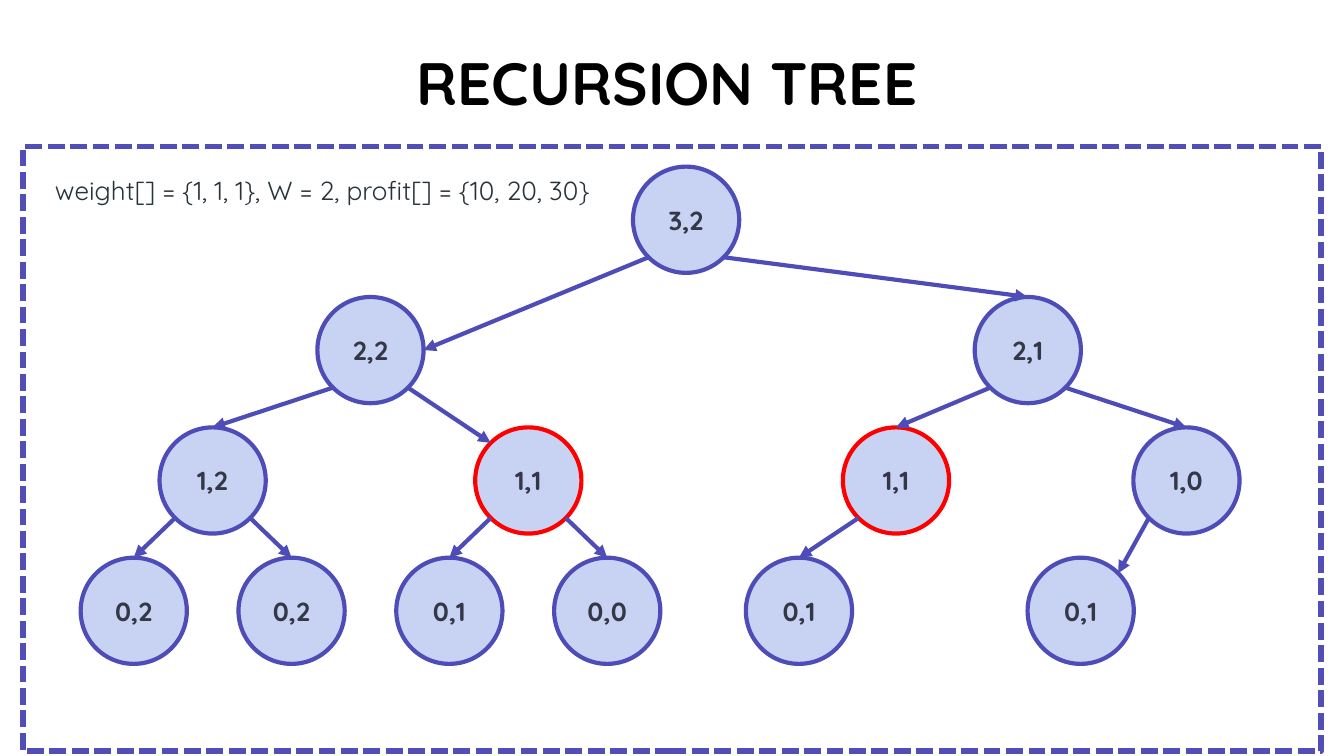
from collections import namedtuple
from math import sqrt

from lxml import etree
from pptx import Presentation
from pptx.dml.color import RGBColor
from pptx.enum.dml import MSO_LINE
from pptx.enum.shapes import MSO_CONNECTOR, MSO_SHAPE
from pptx.enum.text import MSO_ANCHOR, PP_ALIGN
from pptx.oxml.ns import qn
from pptx.util import Inches, Pt

STRAIGHT = MSO_CONNECTOR.STRAIGHT
OVAL, RECTANGLE = MSO_SHAPE.OVAL, MSO_SHAPE.RECTANGLE
DASHED = MSO_LINE.SQUARE_DOT
TOP, MIDDLE = MSO_ANCHOR.TOP, MSO_ANCHOR.MIDDLE
LEFT, CENTER = PP_ALIGN.LEFT, PP_ALIGN.CENTER

COLORS = {
    "title": "000000", "input": "273239", "state": "333746",
    "frame": "514EB7", "edge": "4E4CB6", "node": "C8D3F4", "repeated": "FF0000",
}
FONT = "Quicksand"
SLIDE_WIDTH = 10
SLIDE_HEIGHT = SLIDE_WIDTH * 9 / 16

# The tree sits on a grid inside its frame; lengths are in inches.
DIAMETER = 0.79
COLUMN, ROW = 4.11 / 7, 0.97
MARGIN_X, MARGIN_Y = 0.43, 0.15

Box = namedtuple("Box", "left top width height")
State = namedtuple("State", "label column children entry repeated",
                   defaults=((), "top", False))

# Points on a circle, as shares of its radius from the centre
DIAGONAL = sqrt(0.5)
SITES = {
    "top": (0, -1), "right": (1, 0),
    "top left": (-DIAGONAL, -DIAGONAL), "top right": (DIAGONAL, -DIAGONAL),
    "bottom left": (-DIAGONAL, DIAGONAL), "bottom right": (DIAGONAL, DIAGONAL),
}

RECURSION = State("3,2", 7, (
    State("2,2", 3, (
        State("1,2", 1, (State("0,2", 0), State("0,2", 2))),
        State("1,1", 5, (State("0,1", 4), State("0,0", 6)), "top left", True),
    ), "right"),
    State("2,1", 11.33, (
        State("1,1", 9.66, (State("0,1", 8.43),), repeated=True),
        State("1,0", 13.34, (State("0,1", 12, entry="top right"),)),
    )),
))


def color(name):
    return RGBColor.from_string(COLORS[name])


def in_inches(*lengths):
    return [Inches(length) for length in lengths]


def write(frame, text, size, color_name, bold=False, align=LEFT, anchor=TOP):
    frame.word_wrap = True
    frame.vertical_anchor = anchor
    paragraph = frame.paragraphs[0]
    paragraph.alignment = align
    run = paragraph.add_run()
    run.text = text
    run.font.name, run.font.size, run.font.bold = FONT, Pt(size), bold
    run.font.color.rgb = color(color_name)


def add_title(slide, box):
    title = slide.shapes.title
    title.left, title.top, title.width, title.height = in_inches(*box)
    write(title.text_frame, "RECURSION TREE", 32, "title", bold=True)


def add_frame(slide, box):
    frame = slide.shapes.add_shape(RECTANGLE, *in_inches(*box))
    frame.shadow.inherit = False
    frame.fill.background()
    frame.line.color.rgb = color("frame")
    frame.line.width = Pt(3)
    frame.line.dash_style = DASHED


def add_input(slide, box):
    values = slide.shapes.add_textbox(*in_inches(*box))
    write(values.text_frame, "weight[] = {1, 1, 1}, W = 2, profit[] = {10, 20, 30}",
          14, "input")


def add_node(slide, state, center_x, center_y):
    radius = DIAMETER / 2
    node = slide.shapes.add_shape(OVAL, *in_inches(
        center_x - radius, center_y - radius, DIAMETER, DIAMETER))
    node.shadow.inherit = False
    node.fill.solid()
    node.fill.fore_color.rgb = color("node")
    node.line.color.rgb = color("repeated" if state.repeated else "edge")
    node.line.width = Pt(2.25)
    write(node.text_frame, state.label, 14, "state", True, CENTER, MIDDLE)


def site_point(center, site):
    return [middle + share * DIAMETER / 2 for middle, share in zip(center, SITES[site])]


def add_arrow(slide, start, end):
    arrow = slide.shapes.add_connector(STRAIGHT, *in_inches(*start, *end))
    arrow.line.color.rgb = color("edge")
    arrow.line.width = Pt(2.25)
    properties = arrow.line._get_or_add_ln()
    etree.SubElement(properties, qn("a:tailEnd"), type="triangle")
    etree.SubElement(properties.getparent(), qn("a:effectLst"))


def add_tree(slide, box, state, depth=0):
    """Draw a state and its calls, and return the centre of its node."""
    center = (box.left + MARGIN_X + state.column * COLUMN + DIAMETER / 2,
              box.top + MARGIN_Y + depth * ROW + DIAMETER / 2)
    add_node(slide, state, *center)
    for child in state.children:
        child_center = add_tree(slide, box, child, depth + 1)
        leaving = "bottom left" if child.column < state.column else "bottom right"
        add_arrow(slide, site_point(center, leaving),
                  site_point(child_center, child.entry))
    return center


def main():
    presentation = Presentation()
    presentation.slide_width, presentation.slide_height = in_inches(
        SLIDE_WIDTH, SLIDE_HEIGHT)
    slide = presentation.slides.add_slide(presentation.slide_layouts[5])
    tree_box = Box(0.17, 1.09, 9.66, 4.5)

    add_frame(slide, tree_box)
    add_title(slide, Box(3, 0.29, 3.99, 0.64))
    add_tree(slide, tree_box, RECURSION)
    add_input(slide, Box(tree_box.left + 0.14, tree_box.top + 0.16, 4.25, 0.34))
    presentation.save("out.pptx")


if __name__ == "__main__":
    main()
